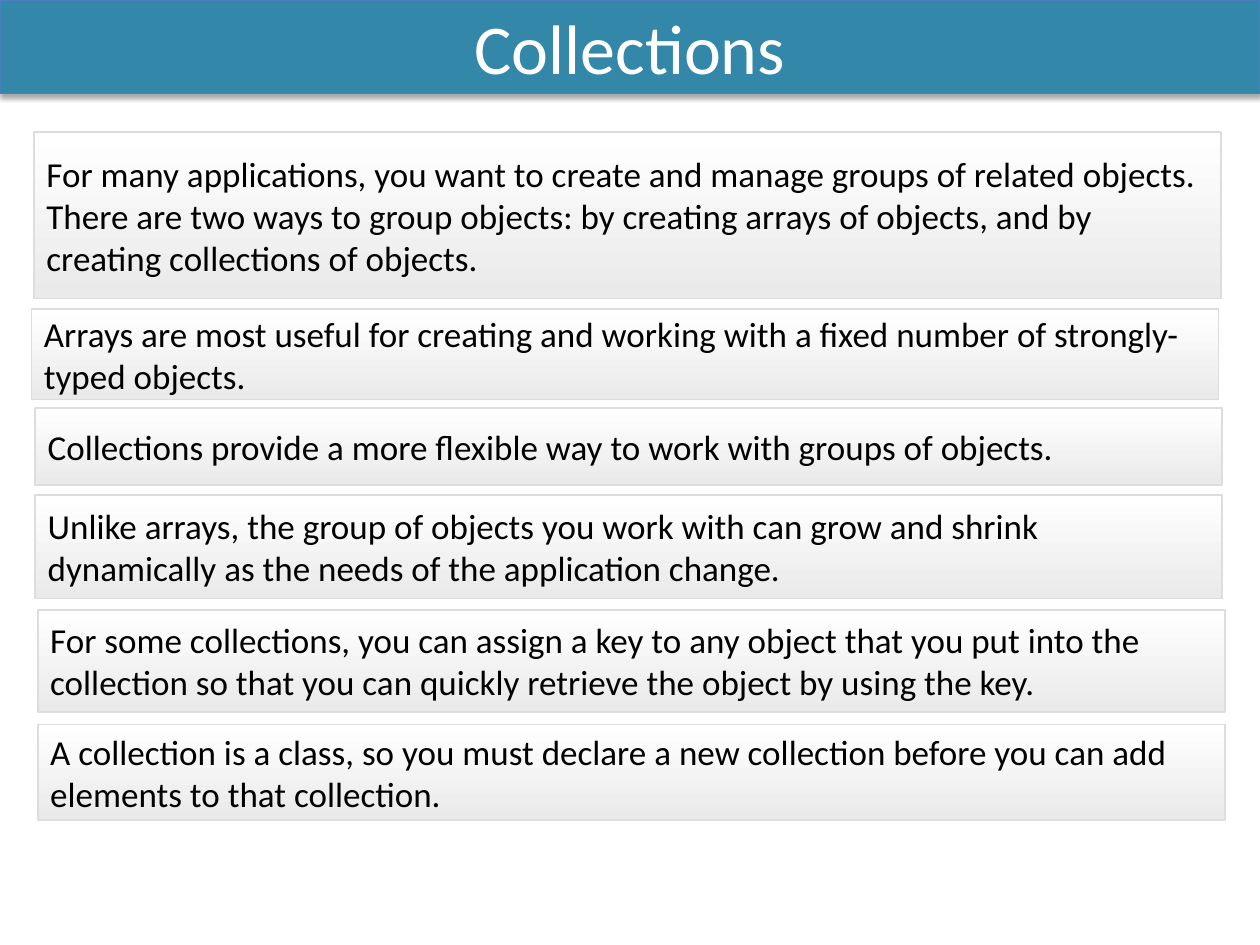
from dataclasses import dataclass

from lxml import etree
from pptx import Presentation
from pptx import util as u
from pptx.dml.color import RGBColor
from pptx.enum import shapes, text
from pptx.oxml import ns

WHITE = RGBColor(0xFF, 0xFF, 0xFF)
BLACK = RGBColor(0, 0, 0)
TEAL = RGBColor(0x33, 0x88, 0xA9)
BLUE = RGBColor(0x4B, 0x7E, 0xBC)
PALE = RGBColor(0xEA, 0xEA, 0xEA)
GREY = RGBColor(0xDD, 0xDD, 0xDD)
FONT = "Calibri"
WIDTH = 9.42


@dataclass
class Note:
    left: float
    top: float
    height: float
    words: str


NOTES = [
    Note(0.27, 1.05, 1.32,
         "For many applications, you want to create and manage groups of "
         "related objects. There are two ways to group objects: by creating "
         "arrays of objects, and by creating collections of objects."),
    Note(0.25, 2.45, 0.72,
         "Arrays are most useful for creating and working with a fixed "
         "number of strongly-typed objects."),
    Note(0.28, 3.24, 0.61,
         "Collections provide a more flexible way to work with groups of "
         "objects."),
    Note(0.28, 3.93, 0.82,
         "Unlike arrays, the group of objects you work with can grow and "
         "shrink dynamically as the needs of the application change."),
    Note(0.3, 4.84, 0.81,
         "For some collections, you can assign a key to any object that you "
         "put into the collection so that you can quickly retrieve the "
         "object by using the key."),
    Note(0.3, 5.75, 0.76,
         "A collection is a class, so you must declare a new collection "
         "before you can add elements to that collection."),
]


def add_box(slide, left: float, top: float, width: float, height: float,
            edge: RGBColor, weight: float):
    box = slide.shapes.add_shape(
        shapes.MSO_SHAPE.RECTANGLE, u.Inches(left), u.Inches(top),
        u.Inches(width), u.Inches(height))
    box.line.color.rgb = edge
    box.line.width = u.Pt(weight)
    box.shadow.inherit = False
    return box


def add_text(box, words: str, size: int, color: RGBColor,
             align: text.PP_ALIGN) -> None:
    frame = box.text_frame
    frame.word_wrap = True
    frame.vertical_anchor = text.MSO_ANCHOR.MIDDLE
    para = frame.paragraphs[0]
    para.alignment = align
    run = para.add_run()
    run.text = words
    run.font.name = FONT
    run.font.size = u.Pt(size)
    run.font.color.rgb = color


def add_shade(box) -> None:
    effects = box.element.spPr.find(ns.qn("a:effectLst"))
    shade = etree.SubElement(
        effects, ns.qn("a:outerShdw"), blurRad=str(u.Pt(3.1)),
        dist=str(u.Pt(1.8)), dir="5400000", rotWithShape="0")
    color = etree.SubElement(shade, ns.qn("a:srgbClr"), val=str(BLACK))
    etree.SubElement(color, ns.qn("a:alpha"), val="35000")


def add_title(slide, words: str) -> None:
    bar = add_box(slide, 0, 0, 10, 0.74, BLUE, 0.75)
    bar.fill.solid()
    bar.fill.fore_color.rgb = TEAL
    add_shade(bar)
    add_text(bar, words, 40, WHITE, text.PP_ALIGN.CENTER)


def add_note(slide, note: Note) -> None:
    box = add_box(slide, note.left, note.top, WIDTH, note.height, GREY, 1)
    box.fill.gradient()
    box.fill.gradient_angle = 270
    for stop, color in zip(box.fill.gradient_stops, (WHITE, PALE)):
        stop.color.rgb = color
    add_text(box, note.words, 20, BLACK, text.PP_ALIGN.LEFT)


def main() -> None:
    deck = Presentation()
    deck.slide_width = u.Inches(10)
    deck.slide_height = u.Inches(7.5)
    slide = deck.slides.add_slide(deck.slide_layouts[6])
    add_title(slide, "Collections")
    for note in NOTES:
        add_note(slide, note)
    deck.save("out.pptx")


if __name__ == "__main__":
    main()
